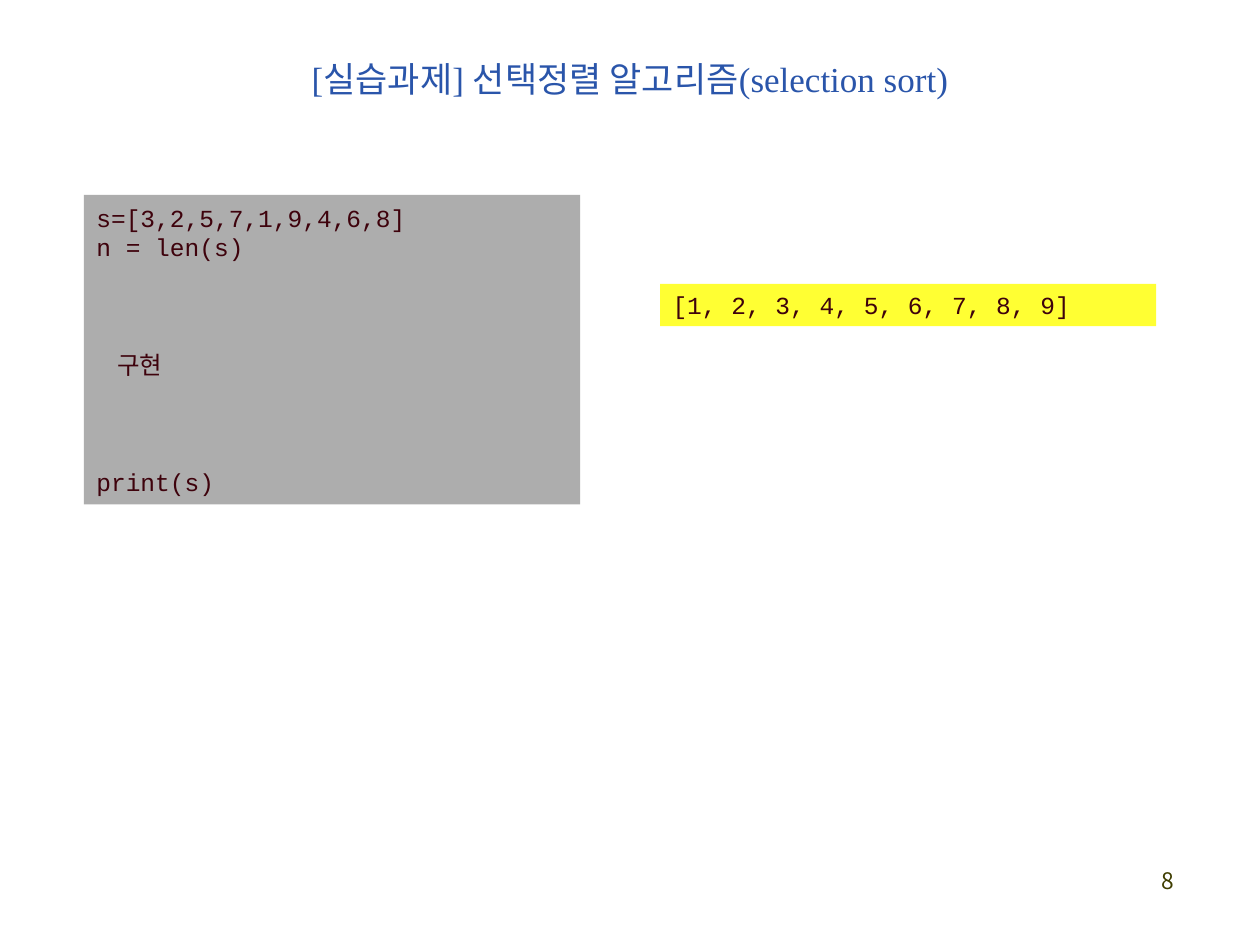
from dataclasses import dataclass

from pptx import Presentation
from pptx.dml.color import RGBColor
from pptx.enum.shapes import MSO_SHAPE
from pptx.enum.text import MSO_ANCHOR, PP_ALIGN
from pptx.util import Pt

RECT = MSO_SHAPE.RECTANGLE
MIDDLE = MSO_ANCHOR.MIDDLE
LEFT, CENTER, RIGHT = PP_ALIGN.LEFT, PP_ALIGN.CENTER, PP_ALIGN.RIGHT


@dataclass(frozen=True)
class Theme:
    """Colours, fonts and type sizes of the slide."""
    title: str = "2A55AA"
    code: str = "3E020C"
    number: str = "3F3E00"
    code_fill: str = "ADADAD"
    output_fill: str = "FFFF33"
    title_font: str = "Times New Roman"
    code_font: str = "Courier New"
    number_font: str = "Noto Sans CJK KR"
    title_size: float = 20
    code_size: float = 14
    number_size: float = 13
    code_line: float = 16.8


THEME = Theme()


def add_run(p, text, font, size, color):
    """Append a formatted run to a paragraph."""
    r = p.add_run()
    r.text = text
    r.font.name = font
    r.font.size = Pt(size)
    r.font.color.rgb = RGBColor.from_string(color)


def place(sp, box):
    """Move a shape to a box given in points."""
    sp.left, sp.top, sp.width, sp.height = map(Pt, box)


def add_title(slide, box, text):
    """Fill and place the title placeholder."""
    sp = slide.shapes.title
    place(sp, box)
    tf = sp.text_frame
    tf.vertical_anchor = MIDDLE
    p = tf.paragraphs[0]
    p.alignment = CENTER
    add_run(p, text, THEME.title_font, THEME.title_size, THEME.title)


def add_code(slide, box, fill, lines):
    """Draw a code panel from (text, blank lines before, indent) rows."""
    sp = slide.shapes.add_shape(RECT, *map(Pt, box))
    sp.shadow.inherit = False
    sp.fill.solid()
    sp.fill.fore_color.rgb = RGBColor.from_string(fill)
    sp.line.fill.background()
    tf = sp.text_frame
    tf.word_wrap = True
    tf.vertical_anchor = MIDDLE
    for i, (text, gap, indent) in enumerate(lines):
        p = tf.add_paragraph() if i else tf.paragraphs[0]
        p.alignment = LEFT
        p.line_spacing = Pt(THEME.code_line)
        if gap:
            p.space_before = Pt(gap * THEME.code_line)
        if indent:
            p._p.get_or_add_pPr().set("marL", str(Pt(indent)))
        add_run(p, text, THEME.code_font, THEME.code_size, THEME.code)


def add_number(slide, box, text):
    """Write the page number at the right of its box."""
    tf = slide.shapes.add_textbox(*map(Pt, box)).text_frame
    tf.word_wrap = True
    p = tf.paragraphs[0]
    p.alignment = RIGHT
    add_run(p, text, THEME.number_font, THEME.number_size, THEME.number)


def main():
    """Build the slide and save it."""
    prs = Presentation()
    prs.slide_width, prs.slide_height = Pt(720), Pt(540)
    slide = prs.slides.add_slide(prs.slide_layouts[5])
    add_number(slide, (528, 492, 150, 36), "8")
    add_code(slide, (48, 111.4, 283.5, 176.8), THEME.code_fill, [
        ("s=[3,2,5,7,1,9,4,6,8]", 0, 0),
        ("n = len(s)", 0, 0),
        ("구현", 3, 12),
        ("print(s)", 3, 0),
    ])
    add_code(slide, (377.2, 162.2, 283.5, 24.2), THEME.output_fill, [
        ("[1, 2, 3, 4, 5, 6, 7, 8, 9]", 0, 0),
    ])
    add_title(slide, (54, 0, 612, 90), "[실습과제] 선택정렬 알고리즘(selection sort)")
    prs.save("out.pptx")


if __name__ == "__main__":
    main()
